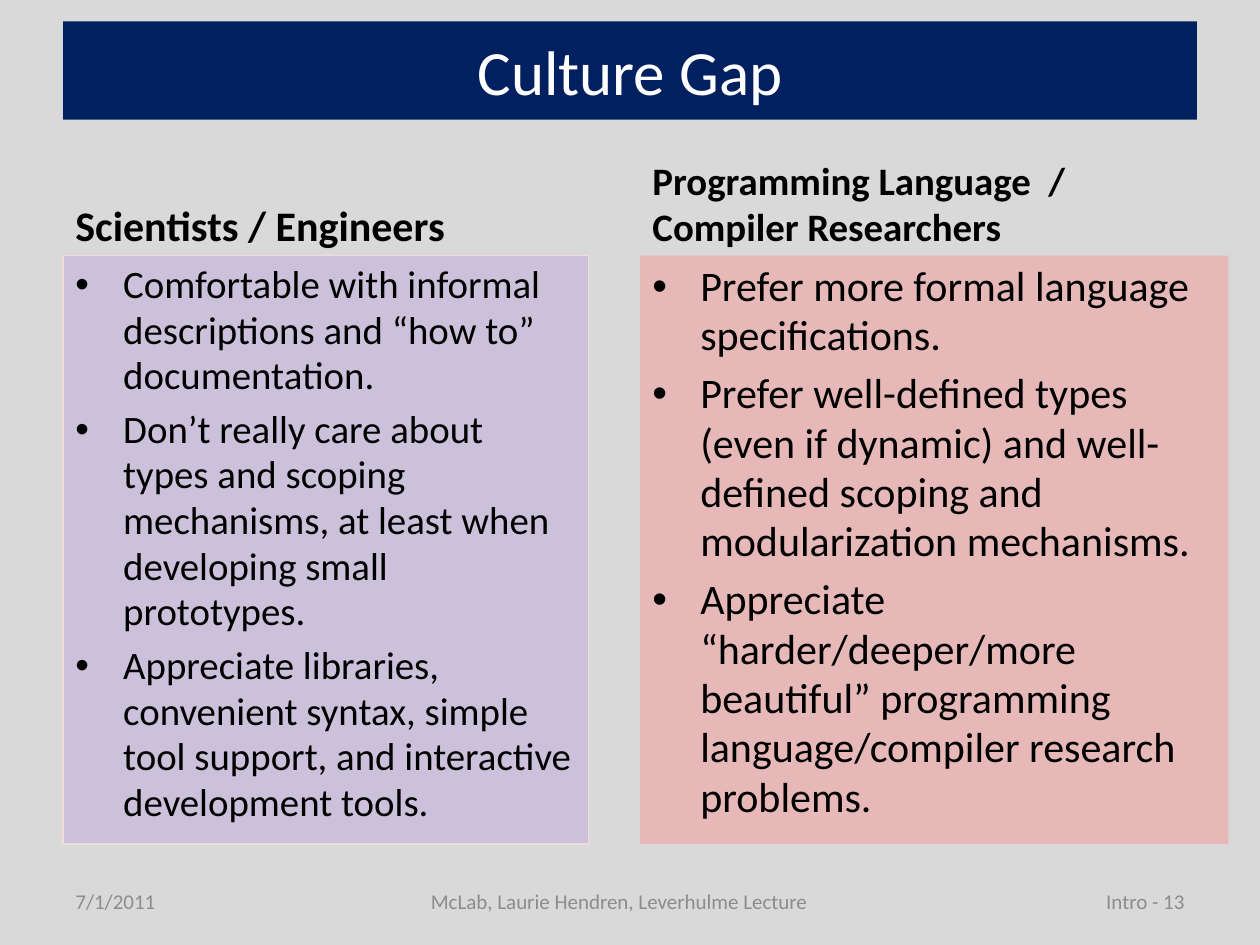
from dataclasses import dataclass
from typing import Optional

from lxml import etree
from pptx import Presentation
from pptx.dml.color import RGBColor
from pptx.enum.shapes import MSO_SHAPE
from pptx.enum.text import MSO_ANCHOR, PP_ALIGN
from pptx.oxml.ns import qn
from pptx.util import Inches, Pt

TOP, MIDDLE, BOTTOM = MSO_ANCHOR.TOP, MSO_ANCHOR.MIDDLE, MSO_ANCHOR.BOTTOM
LEFT, CENTER, RIGHT = PP_ALIGN.LEFT, PP_ALIGN.CENTER, PP_ALIGN.RIGHT
RECTANGLE = MSO_SHAPE.RECTANGLE

FONT = "Calibri"
BULLET_INDENT = 0.38
COLORS = {
    "background": "D9D9D9",
    "banner": "002060",
    "title": "FFFFFF",
    "text": "000000",
    "footer": "8C8C8C",
    "scientists": "CCC1DA",
    "scientists_edge": "F2DCDB",
    "researchers": "E6B9B8",
}


@dataclass
class Column:
    left: float
    width: float
    heading: str
    heading_size: float
    points: list[str]
    point_size: float
    fill: str
    edge: Optional[str] = None


@dataclass
class FooterPart:
    left: float
    width: float
    text: str
    align: PP_ALIGN


COLUMNS = [
    Column(0.5, 4.17, "Scientists / Engineers", 24, [
        "Comfortable with informal descriptions and “how to” documentation.",
        "Don’t really care about types and scoping mechanisms, at least when "
        "developing small prototypes.",
        "Appreciate libraries, convenient syntax, simple tool support, and "
        "interactive development tools.",
    ], 22.2, "scientists", "scientists_edge"),
    Column(5.08, 4.67, "Programming Language  / Compiler Researchers", 22.2, [
        "Prefer more formal language specifications.",
        "Prefer well-defined types (even if dynamic) and well-defined scoping "
        "and modularization mechanisms.",
        "Appreciate “harder/deeper/more beautiful” programming "
        "language/compiler research problems.",
    ], 24, "researchers"),
]

FOOTER = [
    FooterPart(0.5, 1.08, "7/1/2011", LEFT),
    FooterPart(2.33, 5.17, "McLab, Laurie Hendren, Leverhulme Lecture", CENTER),
    FooterPart(8.58, 0.92, "Intro - 13", RIGHT),
]


def rgb(name: str) -> RGBColor:
    return RGBColor.from_string(COLORS[name])


def add_run(paragraph, text: str, size: float, color: str, bold: bool = False) -> None:
    run = paragraph.add_run()
    run.text = text
    run.font.name = FONT
    run.font.size = Pt(size)
    run.font.bold = bold
    run.font.color.rgb = rgb(color)


def add_label(slide, left: float, top: float, width: float, height: float,
              text: str, size: float, color: str, anchor: MSO_ANCHOR,
              align: PP_ALIGN = LEFT, bold: bool = False) -> None:
    box = slide.shapes.add_textbox(
        Inches(left), Inches(top), Inches(width), Inches(height))
    frame = box.text_frame
    frame.word_wrap = True
    frame.vertical_anchor = anchor
    paragraph = frame.paragraphs[0]
    paragraph.alignment = align
    add_run(paragraph, text, size, color, bold)


def add_bullet(paragraph) -> None:
    properties = paragraph._p.get_or_add_pPr()
    properties.set("marL", str(Inches(BULLET_INDENT)))
    properties.set("indent", str(-Inches(BULLET_INDENT)))
    etree.SubElement(properties, qn("a:buFont")).set("typeface", "Arial")
    etree.SubElement(properties, qn("a:buChar")).set("char", "•")


def add_column(slide, column: Column) -> None:
    add_label(slide, column.left, 1.33, 4.42, 0.7, column.heading,
              column.heading_size, "text", BOTTOM, bold=True)

    panel = slide.shapes.add_shape(
        RECTANGLE, Inches(column.left), Inches(2.03),
        Inches(column.width), Inches(4.67))
    panel.shadow.inherit = False
    panel.fill.solid()
    panel.fill.fore_color.rgb = rgb(column.fill)
    if column.edge:
        panel.line.color.rgb = rgb(column.edge)
        panel.line.width = Pt(0.75)
    else:
        panel.line.fill.background()

    frame = panel.text_frame
    frame.word_wrap = True
    frame.vertical_anchor = TOP
    for index, point in enumerate(column.points):
        paragraph = frame.add_paragraph() if index else frame.paragraphs[0]
        add_bullet(paragraph)
        paragraph.alignment = LEFT
        paragraph.line_spacing = 0.98
        if index:
            paragraph.space_before = Pt(round(column.point_size * 0.2, 1))
        add_run(paragraph, point, column.point_size, "text")


def add_title(slide, text: str) -> None:
    title = slide.shapes.title
    title.left, title.top = Inches(0.5), Inches(0.17)
    title.width, title.height = Inches(9), Inches(0.78)
    title.fill.solid()
    title.fill.fore_color.rgb = rgb("banner")
    frame = title.text_frame
    frame.word_wrap = True
    frame.vertical_anchor = MIDDLE
    paragraph = frame.paragraphs[0]
    paragraph.alignment = CENTER
    add_run(paragraph, text, 36, "title")


def main() -> None:
    presentation = Presentation()
    presentation.slide_width = Inches(10)
    presentation.slide_height = Inches(7.5)
    slide = presentation.slides.add_slide(presentation.slide_layouts[5])
    slide.background.fill.solid()
    slide.background.fill.fore_color.rgb = rgb("background")

    # Title banner
    add_title(slide, "Culture Gap")

    # The two cultures side by side
    for column in COLUMNS:
        add_column(slide, column)

    # Footer
    for part in FOOTER:
        add_label(slide, part.left, 6.95, part.width, 0.4, part.text,
                  12, "footer", MIDDLE, part.align)

    presentation.save("out.pptx")


if __name__ == "__main__":
    main()
